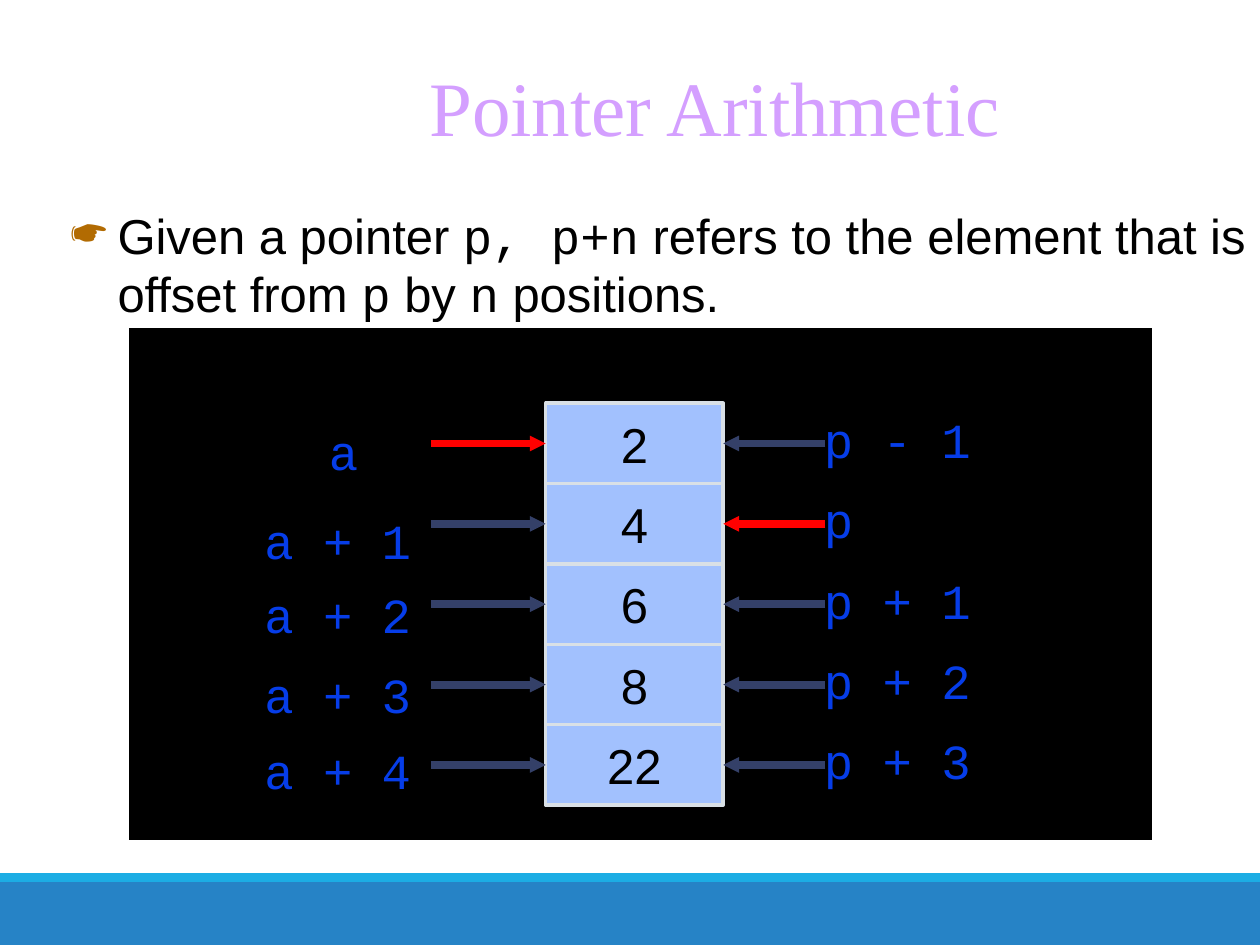
from dataclasses import dataclass

from lxml.etree import SubElement
from pptx import Presentation
from pptx.dml.color import RGBColor
from pptx.enum.shapes import MSO_CONNECTOR, MSO_SHAPE
from pptx.enum.text import MSO_ANCHOR, PP_ALIGN
from pptx.oxml.ns import qn
from pptx.util import Cm, Pt


@dataclass(frozen=True)
class Theme:
    footer: str = "2683C6"
    footer_edge: str = "1CADE4"
    title: str = "D49FFF"
    text: str = "000000"
    bullet: str = "B26B02"
    panel: str = "000000"
    panel_edge: str = "FFFFFF"
    cell: str = "A2C1FE"
    cell_edge: str = "D9E0E6"
    label: str = "063DE8"
    arrow: str = "344068"
    base_arrow: str = "FF0000"
    title_size: int = 44
    text_size: int = 28
    serif: str = "Times New Roman"
    sans: str = "Arial"
    mono: str = "Courier New"


THEME = Theme()

# Array cells (cm)
CELL_LEFT, CELL_TOP, CELL_WIDTH, CELL_HEIGHT = 11, 8.13, 3.58, 1.62
LEFT_ARROW_START, RIGHT_ARROW_START = 8.69, 16.64
LEFT_SIDE, RIGHT_SIDE = 1, 3

VALUES = ["2", "4", "6", "8", "22"]
# Text, left, top and width of each label on the left
ARRAY_LABELS = [
    ("a", 6.38, 8.38, 1.88),
    ("a + 1", 5.08, 10.16, 3.86),
    ("a + 2", 5.08, 11.66, 3.86),
    ("a + 3", 5.08, 13.28, 3.86),
    ("a + 4", 5.08, 14.81, 3.86),
]
POINTER_LABELS = ["p - 1", "p", "p + 1", "p + 2", "p + 3"]
ARRAY_BASE, POINTER_BASE = 0, 1


def rgb(color):
    return RGBColor.from_string(color)


def add_run(paragraph, text, font, color, size=THEME.text_size):
    run = paragraph.add_run()
    run.text = text
    run.font.name = font
    run.font.size = Pt(size)
    run.font.color.rgb = rgb(color)


def add_box(shapes, left, top, width, height, fill, edge=None, edge_width=0):
    box = shapes.add_shape(MSO_SHAPE.RECTANGLE, Cm(left), Cm(top), Cm(width), Cm(height))
    box.shadow.inherit = False
    box.fill.solid()
    box.fill.fore_color.rgb = rgb(fill)
    if edge:
        box.line.color.rgb = rgb(edge)
        box.line.width = Pt(edge_width)
    else:
        box.line.fill.background()
    return box


def add_text(shapes, left, top, width, height):
    """Add a wrapping text box and return its frame."""
    frame = shapes.add_textbox(Cm(left), Cm(top), Cm(width), Cm(height)).text_frame
    frame.word_wrap = True
    return frame


def space_before(paragraph):
    paragraph.space_before = Pt(0.2 * THEME.text_size)


def add_title(shapes):
    frame = add_text(shapes, 3.48, 1.27, 21.87, 1.91)
    frame.vertical_anchor = MSO_ANCHOR.BOTTOM
    title = frame.paragraphs[0]
    title.alignment = PP_ALIGN.CENTER
    add_run(title, "Pointer Arithmetic", THEME.serif, THEME.title, THEME.title_size)


def add_statement(shapes):
    statement = add_text(shapes, 1.17, 4.01, 24.23, 14.27).paragraphs[0]
    space_before(statement)
    # Hanging bullet
    properties = statement._p.get_or_add_pPr()
    properties.set("marL", str(Cm(0.95)))
    properties.set("indent", str(Cm(-0.95)))
    bullet_color = SubElement(properties, qn("a:buClr"))
    SubElement(bullet_color, qn("a:srgbClr"), val=THEME.bullet)
    SubElement(properties, qn("a:buChar"), char="☛")
    for text, font in [
        ("Given a pointer ", THEME.sans),
        ("p, p+n", THEME.mono),
        (" refers to the element that is offset from ", THEME.sans),
        ("p", THEME.mono),
        (" by ", THEME.sans),
        ("n", THEME.mono),
        (" positions.", THEME.sans),
    ]:
        add_run(statement, text, font, THEME.text)


def add_cell(shapes, row, value):
    cell = add_box(shapes, CELL_LEFT, CELL_TOP + row * CELL_HEIGHT, CELL_WIDTH,
                   CELL_HEIGHT, THEME.cell, THEME.cell_edge, 2)
    frame = cell.text_frame
    frame.word_wrap = False
    frame.vertical_anchor = MSO_ANCHOR.MIDDLE
    paragraph = frame.paragraphs[0]
    paragraph.alignment = PP_ALIGN.CENTER
    space_before(paragraph)
    add_run(paragraph, value, THEME.sans, THEME.text)
    return cell


def add_label(shapes, text, left, top, width):
    paragraph = add_text(shapes, left, top, width, 1.45).paragraphs[0]
    space_before(paragraph)
    add_run(paragraph, text, THEME.mono, THEME.label)


def add_arrow(shapes, start, cell, side, is_base):
    """Point from the horizontal position start to one side of a cell."""
    middle = cell.top + cell.height // 2
    arrow = shapes.add_connector(MSO_CONNECTOR.STRAIGHT, Cm(start), middle, cell.left, middle)
    arrow.end_connect(cell, side)
    arrow.line.color.rgb = rgb(THEME.base_arrow if is_base else THEME.arrow)
    arrow.line.width = Pt(4.5)
    SubElement(arrow.line._get_or_add_ln(), qn("a:tailEnd"), type="triangle", w="sm", len="sm")
    SubElement(arrow._element.spPr, qn("a:effectLst"))


def main():
    presentation = Presentation()
    presentation.slide_width, presentation.slide_height = Cm(25.4), Cm(19.05)
    shapes = presentation.slides.add_slide(presentation.slide_layouts[6]).shapes

    # Footer bands
    add_box(shapes, 0, 17.78, 25.4, 1.27, THEME.footer)
    add_box(shapes, 0, 17.6, 25.4, 0.18, THEME.footer_edge)

    # Heading and statement
    add_title(shapes)
    add_statement(shapes)

    # Array on its panel
    add_box(shapes, 2.54, 6.55, 20.75, 10.44, THEME.panel, THEME.panel_edge, 3.5)
    array = shapes.add_group_shape()
    cells = [add_cell(array.shapes, row, value) for row, value in enumerate(VALUES)]

    # Expressions on both sides
    for label in ARRAY_LABELS:
        add_label(shapes, *label)
    for row, text in enumerate(POINTER_LABELS):
        add_label(shapes, text, 16.36, CELL_TOP + row * CELL_HEIGHT, 4.17)

    # Arrows to the cells
    for row, cell in enumerate(cells):
        add_arrow(shapes, LEFT_ARROW_START, cell, LEFT_SIDE, row == ARRAY_BASE)
        add_arrow(shapes, RIGHT_ARROW_START, cell, RIGHT_SIDE, row == POINTER_BASE)

    presentation.save("out.pptx")


if __name__ == "__main__":
    main()
